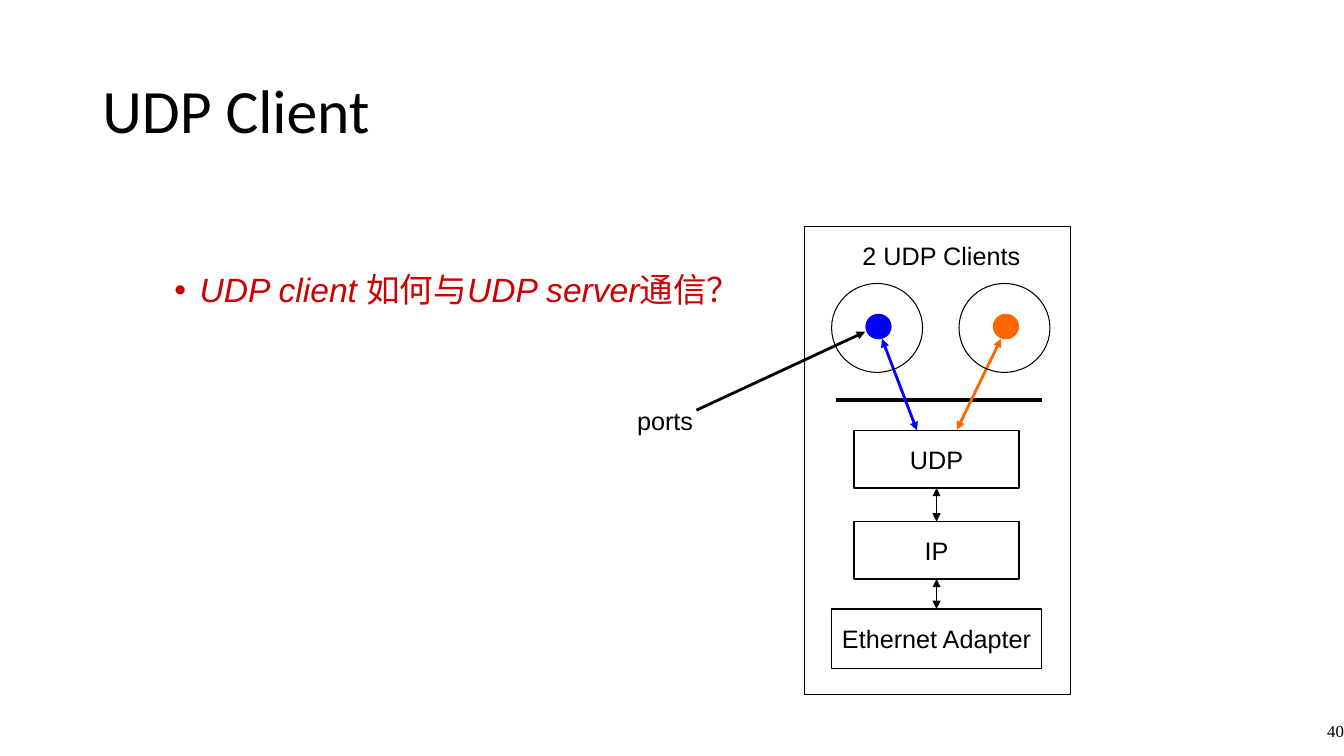
from dataclasses import dataclass

from lxml import etree
from pptx import Presentation
from pptx.dml.color import RGBColor
from pptx.enum import shapes, text
from pptx.oxml import ns
from pptx.util import Pt


@dataclass(frozen=True)
class Theme:
    black: str = "000000"
    question: str = "CC0000"
    blue: str = "0000FF"
    orange: str = "FF6600"
    sans: str = "Arial"
    heading: str = "Calibri"
    serif: str = "Times New Roman"
    title_size: int = 44
    question_size: int = 24
    label_size: int = 18
    number_size: int = 12


THEME = Theme()


def add_run(paragraph, wording, font_name, size, color, italic=False):
    run = paragraph.add_run()
    run.text = wording
    run.font.name = font_name
    run.font.size = Pt(size)
    run.font.italic = italic
    run.font.color.rgb = RGBColor.from_string(color)


def add_label(paragraph, wording):
    add_run(paragraph, wording, THEME.sans, THEME.label_size, THEME.black)


def add_outline(slide, kind, left, top, width, height, color=THEME.black, weight=0.75, filled=False):
    shape = slide.shapes.add_shape(kind, Pt(left), Pt(top), Pt(width), Pt(height))
    shape.shadow.inherit = False
    shape.line.color.rgb = RGBColor.from_string(color)
    shape.line.width = Pt(weight)
    if filled:
        shape.fill.solid()
        shape.fill.fore_color.rgb = RGBColor.from_string(color)
    else:
        shape.fill.background()
    return shape


def add_layer(slide, wording, left, top, width, height):
    shape = add_outline(slide, shapes.MSO_SHAPE.RECTANGLE, left, top, width, height, weight=1)
    frame = shape.text_frame
    frame.word_wrap = False
    frame.vertical_anchor = text.MSO_ANCHOR.MIDDLE
    paragraph = frame.paragraphs[0]
    paragraph.alignment = text.PP_ALIGN.CENTER
    add_label(paragraph, wording)
    return shape


def add_line(slide, start, end, color=THEME.black, weight=0.75, arrows=()):
    points = [Pt(value) for value in (*start, *end)]
    line = slide.shapes.add_connector(shapes.MSO_CONNECTOR.STRAIGHT, *points)
    line.line.color.rgb = RGBColor.from_string(color)
    line.line.width = Pt(weight)
    outline = line.line._get_or_add_ln()
    for arrow in arrows:
        etree.SubElement(outline, ns.qn(f"a:{arrow}"), type="triangle")
    etree.SubElement(line._element.spPr, ns.qn("a:effectLst"))
    return line


def add_text_box(slide, left, top, width, height, wrap=True):
    box = slide.shapes.add_textbox(Pt(left), Pt(top), Pt(width), Pt(height))
    box.text_frame.word_wrap = wrap
    return box.text_frame


def add_title(slide):
    title = slide.shapes.title
    title.left, title.top, title.width, title.height = Pt(66), Pt(28.75), Pt(828), Pt(104.4)
    title.text_frame.vertical_anchor = text.MSO_ANCHOR.MIDDLE
    paragraph = title.text_frame.paragraphs[0]
    paragraph.alignment = text.PP_ALIGN.LEFT
    paragraph.line_spacing = 0.9
    add_run(paragraph, "UDP Client", THEME.heading, THEME.title_size, THEME.black)


def add_question(slide):
    paragraph = add_text_box(slide, 117.5, 192, 440, 40).paragraphs[0]
    paragraph.line_spacing = 0.9
    properties = paragraph._p.get_or_add_pPr()
    properties.set("marL", str(Pt(18)))
    properties.set("indent", str(Pt(-18)))
    etree.SubElement(properties, ns.qn("a:buFont"), typeface=THEME.sans)
    etree.SubElement(properties, ns.qn("a:buChar"), char="•")
    pieces = (("UDP client ", True), ("如何与", False), ("UDP server", True), ("通信？", False))
    for wording, italic in pieces:
        add_run(paragraph, wording, THEME.sans, THEME.question_size, THEME.question, italic)


def add_slide_number(slide):
    frame = add_text_box(slide, 912, 504, 48, 36)
    frame.margin_left = frame.margin_right = 0
    frame.vertical_anchor = text.MSO_ANCHOR.MIDDLE
    paragraph = frame.paragraphs[0]
    paragraph.alignment = text.PP_ALIGN.RIGHT
    add_run(paragraph, "40", THEME.serif, THEME.number_size, THEME.black)


def add_stack(slide):
    both_ends = ("headEnd", "tailEnd")
    layers = [
        add_layer(slide, "UDP", 610, 307.5, 118, 41),
        add_layer(slide, "IP", 610, 372.5, 118, 41),
        add_layer(slide, "Ethernet Adapter", 594, 435, 150, 42.5),
    ]
    for upper, lower in zip(layers, layers[1:]):
        link = add_line(slide, (0, 0), (0, 0), arrows=both_ends)
        link.begin_connect(upper, 2)
        link.end_connect(lower, 0)
    add_line(slide, (597, 286), (744.5, 286), weight=3)
    add_outline(slide, shapes.MSO_SHAPE.RECTANGLE, 574.5, 162, 190.5, 334)

    clients = (
        (594, THEME.blue, (630, 242), (655, 307.5)),
        (685, THEME.orange, (715, 242), (683.5, 307)),
    )
    for left, color, port, layer in clients:
        add_outline(slide, shapes.MSO_SHAPE.OVAL, left + 24.5, 224.5, 18, 17.5, color, filled=True)
        add_line(slide, port, layer, color, 2, both_ends)
        add_outline(slide, shapes.MSO_SHAPE.OVAL, left, 202.5, 65, 63.5)


def add_captions(slide):
    for wording, left, top, width in (("2 UDP Clients", 609, 168, 127.5), ("ports", 448, 286, 54.5)):
        frame = add_text_box(slide, left, top, width, 29, wrap=False)
        add_label(frame.paragraphs[0], wording)
    add_line(slide, (618, 237), (497.5, 293), weight=2, arrows=("headEnd",))


def main():
    presentation = Presentation()
    presentation.slide_width = Pt(960)
    presentation.slide_height = Pt(540)
    slide = presentation.slides.add_slide(presentation.slide_layouts[5])
    add_title(slide)
    add_question(slide)
    add_slide_number(slide)
    add_stack(slide)
    add_captions(slide)
    presentation.save("out.pptx")


if __name__ == "__main__":
    main()
